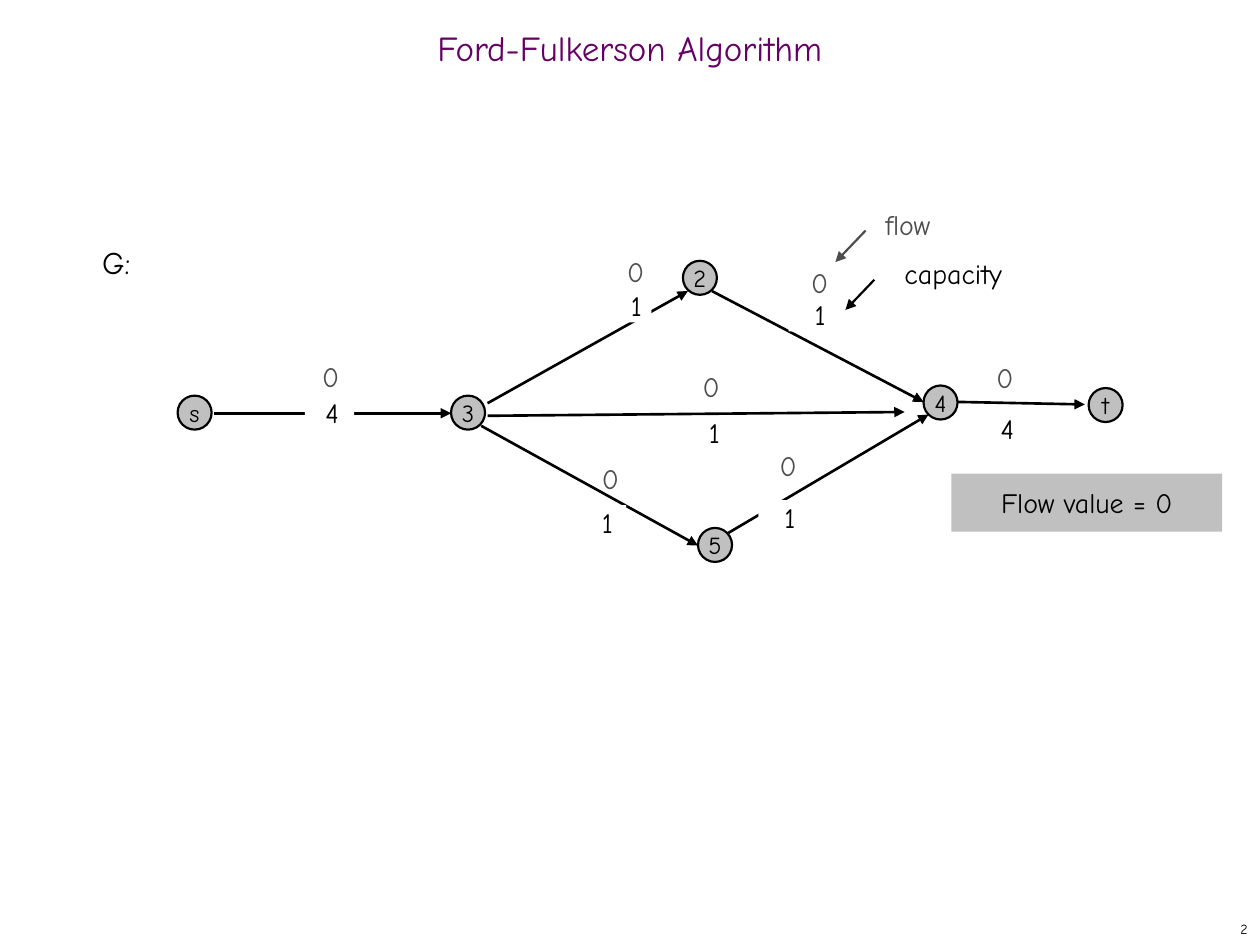
from lxml import etree
from pptx import Presentation
from pptx import util as u
from pptx.dml.color import RGBColor
from pptx.enum import shapes, text
from pptx.oxml.ns import qn

PX = 9144  # EMU in one px, 100 px to the inch
BLACK = RGBColor(0x00, 0x00, 0x00)
WHITE = RGBColor(0xFF, 0xFF, 0xFF)
SILVER = RGBColor(0xC0, 0xC0, 0xC0)
GREY = RGBColor(0x4D, 0x4D, 0x4D)
PURPLE = RGBColor(0x66, 0x00, 0x66)

LEFT, CENTER, RIGHT = text.PP_ALIGN.LEFT, text.PP_ALIGN.CENTER, text.PP_ALIGN.RIGHT
TOP, MIDDLE = text.MSO_ANCHOR.TOP, text.MSO_ANCHOR.MIDDLE
NO_INSET = (0, 0, 0, 0)
TEXT_INSET = (10, 5, 10, 5)

NODES = {"s": (141, 314), "2": (542, 207), "3": (358, 314),
         "4": (733, 306), "5": (554, 419), "t": (864, 308)}
NODE_SIZE = 27

# start, end, flow label corner, capacity, capacity box (left, top, width)
EDGES = [
    ((170, 328), (358, 328), (244, 285), "4", (242, 314, 39)),
    ((382, 338), (554, 433), (466, 366), "1", (463, 401, 34)),
    ((565, 231), (733, 319), (632, 211), "1", (626, 236, 46)),
    ((387, 320), (546, 231), (486, 202), "1", (489, 229, 28)),
    ((578, 423), (737, 329), (607, 356), "1", (602, 397, 46)),
    ((760, 319), (861, 321), (779, 286), "4", (774, 327, 47)),
    ((387, 330), (718, 327), (546, 293), "1", (542, 330, 46)),
]


class SlideBuilder:
    font = "Comic Neue"

    def __init__(self, slide):
        self.shapes = slide.shapes

    def set_text(self, shape, content, size, color=BLACK, align=CENTER, anchor=TOP,
                 inset=NO_INSET, wrap=True, before=0, spacing=1.0):
        frame = shape.text_frame
        left, top, right, bottom = (side * PX for side in inset)
        frame_format = {"margin_left": left, "margin_top": top, "margin_right": right,
                        "margin_bottom": bottom, "vertical_anchor": anchor,
                        "word_wrap": wrap}
        for name, value in frame_format.items():
            setattr(frame, name, value)
        paragraph = frame.paragraphs[0]
        paragraph_format = {"alignment": align, "space_before": u.Pt(before),
                            "line_spacing": spacing}
        for name, value in paragraph_format.items():
            setattr(paragraph, name, value)
        run = paragraph.add_run()
        run.text = content
        for name, value in {"name": self.font, "size": u.Pt(size)}.items():
            setattr(run.font, name, value)
        run.font.color.rgb = color

    def label(self, box, content, size, **style):
        shape = self.shapes.add_textbox(*(side * PX for side in box))
        self.set_text(shape, content, size, **style)

    def filled(self, kind, box, fill, content, size, outline=None, **style):
        shape = self.shapes.add_shape(kind, *(side * PX for side in box))
        shape.shadow.inherit = False
        shape.fill.solid()
        shape.fill.fore_color.rgb = fill
        if outline is None:
            shape.line.fill.background()
        else:
            shape.line.color.rgb = outline
            shape.line.width = u.Pt(1.25)
        self.set_text(shape, content, size, **style)

    def box(self, box, fill, content, size, **style):
        self.filled(shapes.MSO_SHAPE.RECTANGLE, box, fill, content, size, **style)

    def node(self, name, left, top):
        self.filled(shapes.MSO_SHAPE.OVAL, (left, top, NODE_SIZE, NODE_SIZE), SILVER,
                    name, 14, outline=BLACK, anchor=MIDDLE, inset=TEXT_INSET, wrap=False)

    def arrow(self, start, end, color=BLACK, width=1.5):
        connector = self.shapes.add_connector(
            shapes.MSO_CONNECTOR.STRAIGHT, *(value * PX for value in start + end))
        connector.line.color.rgb = color
        connector.line.width = u.Pt(width)
        properties = connector._element.spPr
        etree.SubElement(properties.get_or_add_ln(), qn("a:tailEnd"), type="triangle")
        etree.SubElement(properties, qn("a:effectLst"))


def main():
    presentation = Presentation()
    presentation.slide_width = 1000 * PX
    presentation.slide_height = 750 * PX
    builder = SlideBuilder(presentation.slides.add_slide(presentation.slide_layouts[6]))

    builder.label((0, 17, 1000, 50), "Ford-Fulkerson Algorithm", 20, color=PURPLE,
                  anchor=MIDDLE, inset=TEXT_INSET, spacing=0.7)
    builder.label((792, 725, 208, 25), "2", 8, align=RIGHT, anchor=MIDDLE,
                  inset=TEXT_INSET, wrap=False)
    builder.box((74, 193, 48, 30), WHITE, "G:", 18, align=LEFT,
                inset=(7, 0, 0, 0), before=11.2)

    for start, end, *_ in EDGES:
        builder.arrow(start, end)
    for name, corner in NODES.items():
        builder.node(name, *corner)
    for _, _, flow_corner, capacity, capacity_box in EDGES:
        builder.box((*capacity_box, 27), WHITE, capacity, 16,
                    inset=(4, 0, 0, 0), before=10)
        builder.label((*flow_corner, 37, 19), "0", 16, color=GREY, before=10)

    builder.label((685, 160, 71, 37), "flow", 16, color=GREY, inset=TEXT_INSET, before=10)
    builder.arrow((687, 183), (663, 208), GREY, 1.25)
    builder.label((695, 199, 123, 37), "capacity", 16, inset=TEXT_INSET, before=10)
    builder.arrow((694, 222), (671, 246), BLACK, 1.25)

    builder.box((755, 376, 215, 46), SILVER, "Flow value = 0", 16, anchor=MIDDLE,
                inset=(10, 15, 10, 15), before=10)

    presentation.save("out.pptx")


if __name__ == "__main__":
    main()
